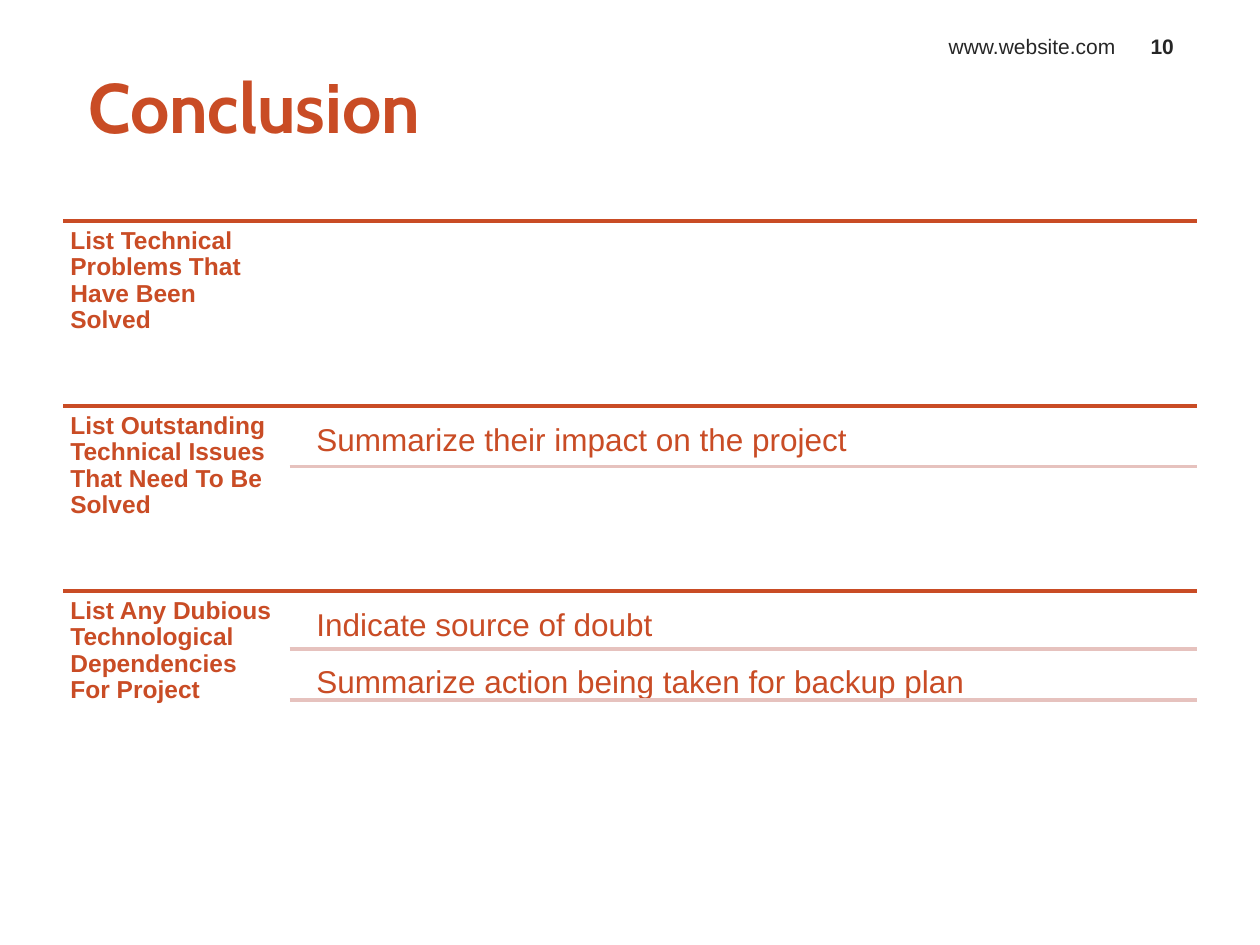
from lxml import etree
from pptx import Presentation, util as u
from pptx.dml.color import RGBColor
from pptx.enum import shapes, text
from pptx.oxml.ns import qn

HUES = {"rust": "C94C25", "pink": "E6C2BE", "ink": "262626"}
LEFT, RIGHT, TOP, STEP = 1.27, 24.13, 4.45, 3.73
SPLIT, INDENT, GAP = 5.84, 6.2, 0.2
SECTIONS = [
    ("List Technical Problems That Have Been Solved", []),
    ("List Outstanding Technical Issues That Need To Be Solved",
     [("Summarize their impact on the project", 0.2, 1.22)]),
    ("List Any Dubious Technological Dependencies For Project",
     [("Indicate source of doubt", 0.2, 1.17),
      ("Summarize action being taken for backup plan", 1.35, 2.2)]),
]


def write(frame, words, size=18, bold=False, hue="rust", font="Arial",
          align=text.PP_ALIGN.LEFT, anchor=text.MSO_ANCHOR.TOP,
          pads=(0.25, 0.13, 0.25, 0.13), lead=1.0):
    frame.word_wrap = True
    frame.auto_size = text.MSO_AUTO_SIZE.NONE
    frame.vertical_anchor = anchor
    (frame.margin_left, frame.margin_top,
     frame.margin_right, frame.margin_bottom) = map(u.Cm, pads)
    para = frame.paragraphs[0]
    para.alignment = align
    para.line_spacing = lead
    para.space_before = u.Pt(0)
    run = para.add_run()
    run.text = words
    run.font.name = font
    run.font.size = u.Pt(size)
    run.font.bold = bold
    run.font.color.rgb = RGBColor.from_string(HUES[hue])


class Deck:
    def __init__(self):
        self.show = Presentation()
        self.show.slide_width = u.Cm(25.4)
        self.show.slide_height = u.Cm(19.05)
        self.slide = self.show.slides.add_slide(self.show.slide_layouts[5])
        self.pen = self.slide.shapes

    def title(self, words, *place, **style):
        head = self.slide.shapes.title
        head.left, head.top, head.width, head.height = map(u.Cm, place)
        write(head.text_frame, words, **style)

    def label(self, words, *place, **style):
        box = self.pen.add_textbox(*map(u.Cm, place))
        write(box.text_frame, words, **style)

    def rule(self, left, y, hue):
        line = self.pen.add_connector(
            shapes.MSO_CONNECTOR.STRAIGHT,
            *map(u.Cm, (left, y, RIGHT, y)))
        line.line.color.rgb = RGBColor.from_string(HUES[hue])
        line.line.width = u.Pt(2)
        etree.SubElement(line._element.spPr, qn("a:effectLst"))

    def outline(self):
        self.pen = self.slide.shapes.add_group_shape().shapes
        for row, (head, notes) in enumerate(SECTIONS):
            top = TOP + row * STEP
            self.rule(LEFT, top, "rust")
            self.label(head, LEFT, top, SPLIT - LEFT, STEP, size=14,
                       bold=True, pads=(0.15,) * 4, lead=0.9)
            for words, start, end in notes:
                self.label(words, INDENT, top + start, 17.96, end - start,
                           pads=(0.18,) * 4, lead=0.9)
                self.rule(SPLIT, top + end, "pink")
        self.pen = self.slide.shapes


def main():
    deck = Deck()
    deck.title("Conclusion", LEFT, 1.02, 13.54, 2.21, size=40, bold=True,
               font="Cabin", anchor=text.MSO_ANCHOR.MIDDLE,
               pads=(0.51, 0.13, 0, 0.13))
    deck.outline()
    foot = {"size": 12, "hue": "ink", "anchor": text.MSO_ANCHOR.BOTTOM}
    deck.label("www.website.com", 15.88, 0.48, 6.86, 0.84,
               align=text.PP_ALIGN.RIGHT, **foot)
    deck.label("10", 22.73, 0.48, 1.4, 0.84, bold=True,
               align=text.PP_ALIGN.CENTER, **foot)
    deck.show.save("out.pptx")


if __name__ == "__main__":
    main()
